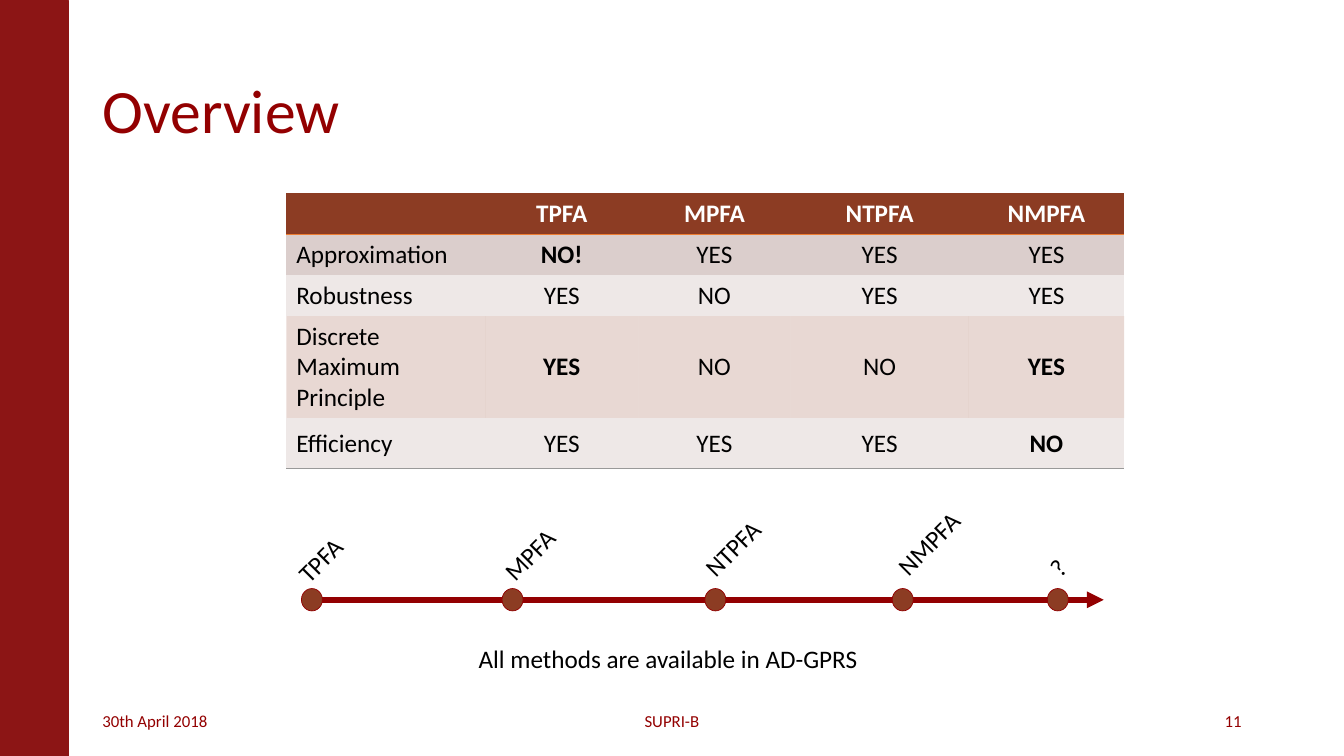
from lxml import etree
from pptx import Presentation
from pptx.dml.color import RGBColor
from pptx.enum import shapes, text
from pptx.oxml import ns
from pptx.util import Pt

COLOURS = {
    "band": "8C1515", "accent": "930001", "rust": "8C3C23", "orange": "ED7D31",
    "grey": "999999", "pink": "DBCECC", "pale": "EEE8E7",
    "black": "000000", "white": "FFFFFF",
}
LEFT, CENTRE, RIGHT = text.PP_ALIGN.LEFT, text.PP_ALIGN.CENTER, text.PP_ALIGN.RIGHT
TOP, MIDDLE = text.MSO_ANCHOR.TOP, text.MSO_ANCHOR.MIDDLE


class SlideBuilder:
    font_name = "Calibri"

    def __init__(self, slide):
        self.slide = slide

    def rgb(self, name):
        return RGBColor.from_string(COLOURS[name])

    def add_words(self, frame, words, size=18, colour="black", align=LEFT, bold=False):
        paragraph = frame.paragraphs[0]
        paragraph.alignment = align
        run = paragraph.add_run()
        run.text = words
        run.font.name = self.font_name
        run.font.size = Pt(size)
        run.font.bold = bold
        run.font.color.rgb = self.rgb(colour)
        return paragraph

    def title(self, words, left, top, width, height):
        heading = self.slide.shapes.title
        heading.left, heading.top = Pt(left), Pt(top)
        heading.width, heading.height = Pt(width), Pt(height)
        heading.text_frame.vertical_anchor = MIDDLE
        self.add_words(heading.text_frame, words, 44, "accent").line_spacing = 0.9

    def label(self, words, left, top, width, height, rotation=0, **style):
        box = self.slide.shapes.add_textbox(Pt(left), Pt(top), Pt(width), Pt(height))
        box.rotation = rotation
        box.text_frame.word_wrap = True
        box.text_frame.vertical_anchor = MIDDLE
        self.add_words(box.text_frame, words, **style)

    def block(self, kind, left, top, width, height, fill, line):
        shape = self.slide.shapes.add_shape(kind, Pt(left), Pt(top), Pt(width), Pt(height))
        shape.shadow.inherit = False
        shape.fill.solid()
        shape.fill.fore_color.rgb = self.rgb(fill)
        shape.line.color.rgb = self.rgb(line)
        shape.line.width = Pt(0.5)

    def arrow(self, start, end, y, colour, weight):
        line = self.slide.shapes.add_connector(
            shapes.MSO_CONNECTOR.STRAIGHT, Pt(start), Pt(y), Pt(end), Pt(y))
        line.line.color.rgb = self.rgb(colour)
        line.line.width = Pt(weight)
        properties = line._element.spPr
        etree.SubElement(properties.find(ns.qn("a:ln")), ns.qn("a:tailEnd"), type="triangle")
        etree.SubElement(properties, ns.qn("a:effectLst"))

    def fill_cell(self, cell, colour, opacity=100):
        cell.fill.solid()
        cell.fill.fore_color.rgb = self.rgb(colour)
        if opacity < 100:
            tone = cell._tc.tcPr.find(".//" + ns.qn("a:srgbClr"))
            etree.SubElement(tone, ns.qn("a:alpha"), val=str(opacity * 1000))

    def underline_cell(self, cell, colour):
        border = etree.Element(ns.qn("a:lnB"), w=str(Pt(1)))
        solid = etree.SubElement(border, ns.qn("a:solidFill"))
        etree.SubElement(solid, ns.qn("a:srgbClr"), val=COLOURS[colour])
        cell._tc.tcPr.insert(0, border)

    def table(self, rows, left, top, widths, heights, fills, underlines, emphasis):
        frame = self.slide.shapes.add_table(
            len(rows), len(widths), Pt(left), Pt(top), Pt(sum(widths)), Pt(sum(heights)))
        grid = frame.table
        # Plain table style without grid lines
        style_id = grid._tbl.tblPr.find(ns.qn("a:tableStyleId"))
        style_id.text = "{2D5ABB26-0587-4C30-8999-92F81FD0307C}"
        for column, width in zip(grid.columns, widths):
            column.width = Pt(width)
        for r, (words_row, height) in enumerate(zip(rows, heights)):
            grid.rows[r].height = Pt(height)
            for c, words in enumerate(words_row):
                cell = grid.cell(r, c)
                cell.vertical_anchor = MIDDLE if r else TOP
                self.fill_cell(cell, *fills[r])
                if r in underlines:
                    self.underline_cell(cell, underlines[r])
                if words:
                    self.add_words(cell.text_frame, words,
                                   colour="black" if r else "white",
                                   align=CENTRE if c else LEFT,
                                   bold=r == 0 or (r, c) in emphasis)


def main():
    deck = Presentation()
    deck.slide_width, deck.slide_height = Pt(960), Pt(540)
    page = SlideBuilder(deck.slides.add_slide(deck.slide_layouts[5]))

    # Side band and title
    page.block(shapes.MSO_SHAPE.RECTANGLE, 0, 0, 48.5, 540, "band", "band")
    page.title("Overview", 66, 28.8, 828, 104.4)

    # Footer
    for words, left, width, align in (("30th April 2018", 66, 216, LEFT),
                                      ("SUPRI-B", 318, 324, CENTRE),
                                      ("11", 678, 216, RIGHT)):
        page.label(words, left, 500.5, width, 28.8, size=12, colour="accent", align=align)

    # Comparison of the methods
    page.table(
        [("", "TPFA", "MPFA", "NTPFA", "NMPFA"),
         ("Approximation", "NO!", "YES", "YES", "YES"),
         ("Robustness", "YES", "NO", "YES", "YES"),
         ("Discrete Maximum Principle", "YES", "NO", "NO", "YES"),
         ("Efficiency", "YES", "YES", "YES", "NO")],
        left=204.5, top=138.2,
        widths=(142, 109.5, 108.7, 127.4, 110.9),
        heights=(29.2, 29.2, 29.2, 73, 36),
        fills=(("rust",), ("pink",), ("pale",), ("rust", 20), ("pale",)),
        underlines={0: "orange", 4: "grey"},
        emphasis={(1, 1), (3, 1), (3, 4), (4, 4)})

    # Timeline: dot centre, then label centre
    axis_y, dot_width, dot_height = 428.4, 15, 16
    label_width, label_height = 88, 29
    page.arrow(219, 788.4, axis_y, "accent", 4)
    for method, dot_x, label_x, label_y in (("TPFA", 222.8, 228.5, 400),
                                            ("MPFA", 366.1, 378, 396),
                                            ("NTPFA", 511, 523, 391.5),
                                            ("NMPFA", 644.8, 663, 388),
                                            ("?", 755.6, 755.5, 405)):
        page.block(shapes.MSO_SHAPE.OVAL, dot_x - dot_width / 2, axis_y - dot_height / 2,
                   dot_width, dot_height, "rust", "accent")
        page.label(method, label_x - label_width / 2, label_y - label_height / 2,
                   label_width, label_height, rotation=-45, align=CENTRE)

    # Closing remark
    page.label("All methods are available in AD-GPRS", 334.8, 455.6, 290, 29)

    deck.save("out.pptx")


if __name__ == "__main__":
    main()
